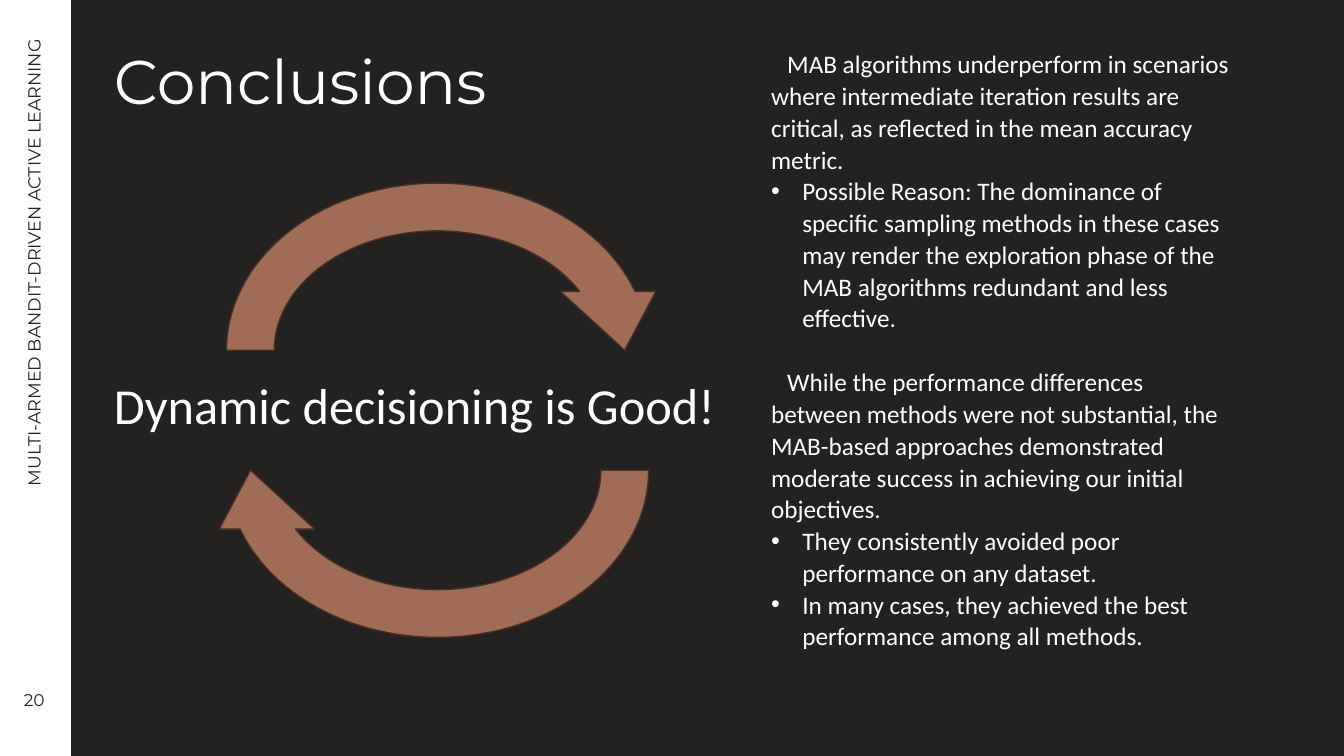
"""Build the Conclusions slide of a talk on bandit-driven active learning."""
from dataclasses import dataclass

from lxml import etree
from pptx import Presentation
from pptx.dml.color import RGBColor
from pptx.enum import shapes, text
from pptx.oxml import ns
from pptx.util import Inches, Pt


@dataclass(frozen=True)
class Theme:
    dark: RGBColor = RGBColor.from_string("232220")
    white: RGBColor = RGBColor.from_string("FFFFFF")
    clay: RGBColor = RGBColor.from_string("A06C55")
    edge: RGBColor = RGBColor.from_string("462F25")
    head: str = "Montserrat"
    body: str = "Calibri"
    title: float = 44
    message: float = 36
    text: float = 18
    running: float = 12.5
    number: float = 12.1


T = Theme()
POINTS = [
    (False, "MAB algorithms underperform in scenarios where intermediate iteration results "
            "are critical, as reflected in the mean accuracy metric."),
    (True, "Possible Reason: The dominance of specific sampling methods in these cases may "
           "render the exploration phase of the MAB algorithms redundant and less effective."),
    (False, "While the performance differences between methods were not substantial, the "
            "MAB-based approaches demonstrated moderate success in achieving our initial "
            "objectives."),
    (True, "They consistently avoided poor performance on any dataset."),
    (True, "In many cases, they achieved the best performance among all methods."),
]


def style(p, font, size, color):
    for r in p.runs:
        r.font.name = font
        r.font.size = Pt(size)
        r.font.color.rgb = color


def add_text(s, box, words, font, size, color):
    sp = s.shapes.add_textbox(*map(Inches, box))
    tf = sp.text_frame
    tf.word_wrap = True
    tf.text = words
    style(tf.paragraphs[0], font, size, color)
    return sp


def set_title(s, box, words):
    sp = s.shapes.title
    sp.left, sp.top, sp.width, sp.height = map(Inches, box)
    tf = sp.text_frame
    tf.text = words
    tf.vertical_anchor = text.MSO_ANCHOR.MIDDLE
    p = tf.paragraphs[0]
    p.alignment = text.PP_ALIGN.LEFT
    style(p, T.head, T.title, T.white)


def add_shape(s, kind, box, fill, line=None, width=1, rotation=0):
    sp = s.shapes.add_shape(kind, *map(Inches, box))
    sp.shadow.inherit = False
    sp.rotation = rotation
    sp.fill.solid()
    sp.fill.fore_color.rgb = fill
    if line is None:
        sp.line.fill.background()
    else:
        sp.line.color.rgb = line
        sp.line.width = Pt(width)


def add_rule(s, x, height):
    sp = s.shapes.add_connector(shapes.MSO_CONNECTOR.STRAIGHT,
                                Inches(x), 0, Inches(x), Inches(height))
    sp.line.color.rgb = T.white
    sp.line.width = Pt(1.5)
    etree.SubElement(sp._element.spPr, ns.qn("a:effectLst"))


def set_indent(p, bullet):
    pPr = p._p.get_or_add_pPr()
    margin, indent = (0.31, -0.31) if bullet else (0, 0.16)
    pPr.set("marL", str(Inches(margin)))
    pPr.set("indent", str(Inches(indent)))
    if bullet:
        font = etree.SubElement(pPr, ns.qn("a:buFont"))
        font.set("typeface", "Arial")
        etree.SubElement(pPr, ns.qn("a:buChar")).set("char", "•")
    else:
        etree.SubElement(pPr, ns.qn("a:buNone"))


def add_points(s, box, points):
    sp = s.shapes.add_textbox(*map(Inches, box))
    tf = sp.text_frame
    tf.word_wrap = True
    for i, (bullet, words) in enumerate(points):
        p = tf.add_paragraph() if i else tf.paragraphs[0]
        p.text = words
        p.line_spacing = 1.05
        if i and not bullet:
            p.space_before = Pt(23)
        set_indent(p, bullet)
        style(p, T.body, T.text, T.white)


def main():
    prs = Presentation()
    prs.slide_width, prs.slide_height = Inches(13.33), Inches(7.5)
    s = prs.slides.add_slide(prs.slide_layouts[5])
    s.background.fill.solid()
    s.background.fill.fore_color.rgb = T.dark

    add_shape(s, shapes.MSO_SHAPE.RECTANGLE, (0, 0, 0.69, 7.5), T.white)
    add_rule(s, 0.69, 7.5)
    set_title(s, (1.03, 0.33, 11.26, 0.93), "Conclusions")

    sp = add_text(s, (0, 6.75, 0.68, 0.39), "20", T.head, T.number, T.dark)
    sp.text_frame.vertical_anchor = text.MSO_ANCHOR.MIDDLE
    sp.text_frame.paragraphs[0].alignment = text.PP_ALIGN.CENTER

    sp = add_text(s, (-2.01, 2.4, 4.71, 0.33), "MULTI-ARMED BANDIT-DRIVEN ACTIVE LEARNING",
                  T.head, T.running, T.dark)
    sp.rotation = 270

    for top, rotation in ((1.58, 0), (2.77, 180)):
        add_shape(s, shapes.MSO_SHAPE.CIRCULAR_ARROW, (2.01, top, 4.66, 3.79),
                  T.clay, T.edge, rotation=rotation)

    add_text(s, (1.03, 3.66, 7.61, 0.71), "Dynamic decisioning is Good!",
             T.body, T.message, T.white)
    add_points(s, (7.55, 0.42, 4.74, 6.13), POINTS)
    prs.save("out.pptx")


if __name__ == "__main__":
    main()
